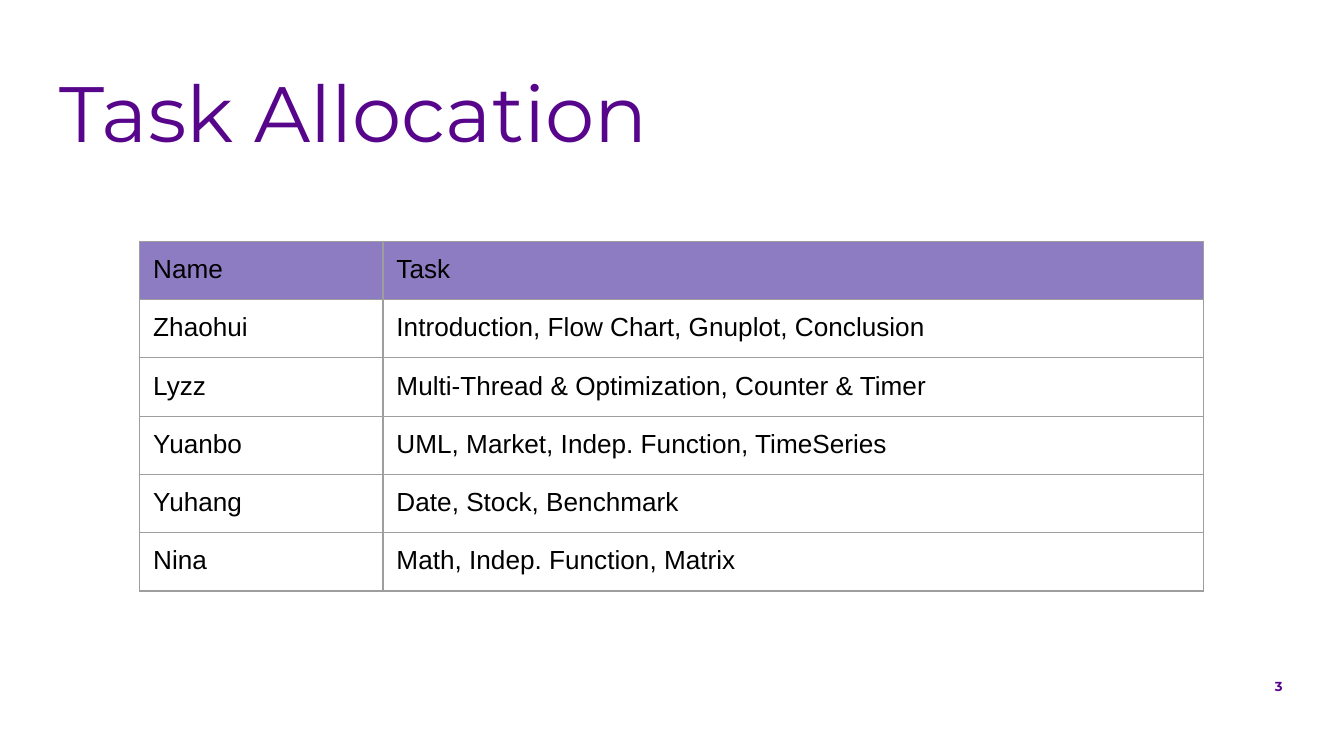
from pptx import Presentation
from pptx.dml.color import RGBColor as Rgb
from pptx.enum.text import MSO_ANCHOR as Anchor, PP_ALIGN as Align
from pptx.oxml import parse_xml
from pptx.oxml.ns import nsdecls
from pptx.util import Pt

PX = 4572
PAD = 20
VIOLET, LILAC, BLACK, GREY = "57068C", "8E7CC3", "000000", "9E9E9E"
HEAD = dict(name="Montserrat", size=Pt(42), bold=False)
MARK = dict(name="Montserrat", size=Pt(7), bold=True)
BODY = dict(name="Arial", size=Pt(14), bold=False)
COLS = (362, 1221)
ROWS = (
    ("Name", "Task"),
    ("Zhaohui", "Introduction, Flow Chart, Gnuplot, Conclusion"),
    ("Lyzz", "Multi-Thread & Optimization, Counter & Timer"),
    ("Yuanbo", "UML, Market, Indep. Function, TimeSeries"),
    ("Yuhang", "Date, Stock, Benchmark"),
    ("Nina", "Math, Indep. Function, Matrix"),
)


def emu(*vals):
    """Turn px lengths into EMU."""
    return [v * PX for v in vals]


def tint(hue):
    """Turn a hex string into a colour."""
    return Rgb.from_string(hue)


def put(obj, **vals):
    """Set attributes from a dict of values."""
    for key, val in vals.items():
        setattr(obj, key, val)


def write(frame, text, look, hue, **para):
    """Write one styled paragraph into a text frame."""
    line = frame.paragraphs[0]
    put(line, **para)
    run = line.add_run()
    run.text = text
    put(run.font, **look)
    run.font.color.rgb = tint(hue)


def inset(obj):
    """Give a frame or cell equal margins on all sides."""
    for side in ("left", "top", "right", "bottom"):
        setattr(obj, f"margin_{side}", PAD * PX)


def edge(cell):
    """Draw the four borders of a cell."""
    props = cell._tc.get_or_add_tcPr()
    for side in "LRTB":
        props.append(parse_xml(
            f'<a:ln{side} {nsdecls("a")} w="{Pt(0.75)}"><a:solidFill>'
            f'<a:srgbClr val="{GREY}"/></a:solidFill></a:ln{side}>'))


def title(slide, box, text):
    """Place the slide title."""
    shape = slide.shapes.title
    put(shape, **dict(zip(("left", "top", "width", "height"), emu(*box))))
    frame = shape.text_frame
    inset(frame)
    put(frame, word_wrap=True, vertical_anchor=Anchor.TOP)
    write(frame, text, HEAD, VIOLET, alignment=Align.LEFT, line_spacing=0.85)


def number(slide, box, text):
    """Place the page number."""
    frame = slide.shapes.add_textbox(*emu(*box)).text_frame
    inset(frame)
    put(frame, word_wrap=True, vertical_anchor=Anchor.MIDDLE)
    write(frame, text, MARK, VIOLET, alignment=Align.RIGHT)


def tasks(slide, box):
    """Place the table of names and tasks."""
    grid = slide.shapes.add_table(len(ROWS), len(COLS), *emu(*box)).table
    put(grid, first_row=False, horz_banding=False)
    for col, wide in zip(grid.columns, COLS):
        col.width = wide * PX
    for i, row in enumerate(ROWS):
        for j, text in enumerate(row):
            cell = grid.cell(i, j)
            inset(cell)
            edge(cell)
            if i == 0:
                cell.fill.solid()
                cell.fill.fore_color.rgb = tint(LILAC)
            else:
                cell.fill.background()
            write(cell.text_frame, text, BODY, BLACK)


def main():
    """Build and save the slide."""
    deck = Presentation()
    deck.slide_width, deck.slide_height = emu(2000, 1125)
    slide = deck.slides.add_slide(deck.slide_layouts[5])
    number(slide, (1010, 987, 918, 68), "3")
    title(slide, (68, 97, 1842, 126), "Task Allocation")
    tasks(slide, (208, 359, sum(COLS), 83 * len(ROWS)))
    deck.save("out.pptx")


if __name__ == "__main__":
    main()
